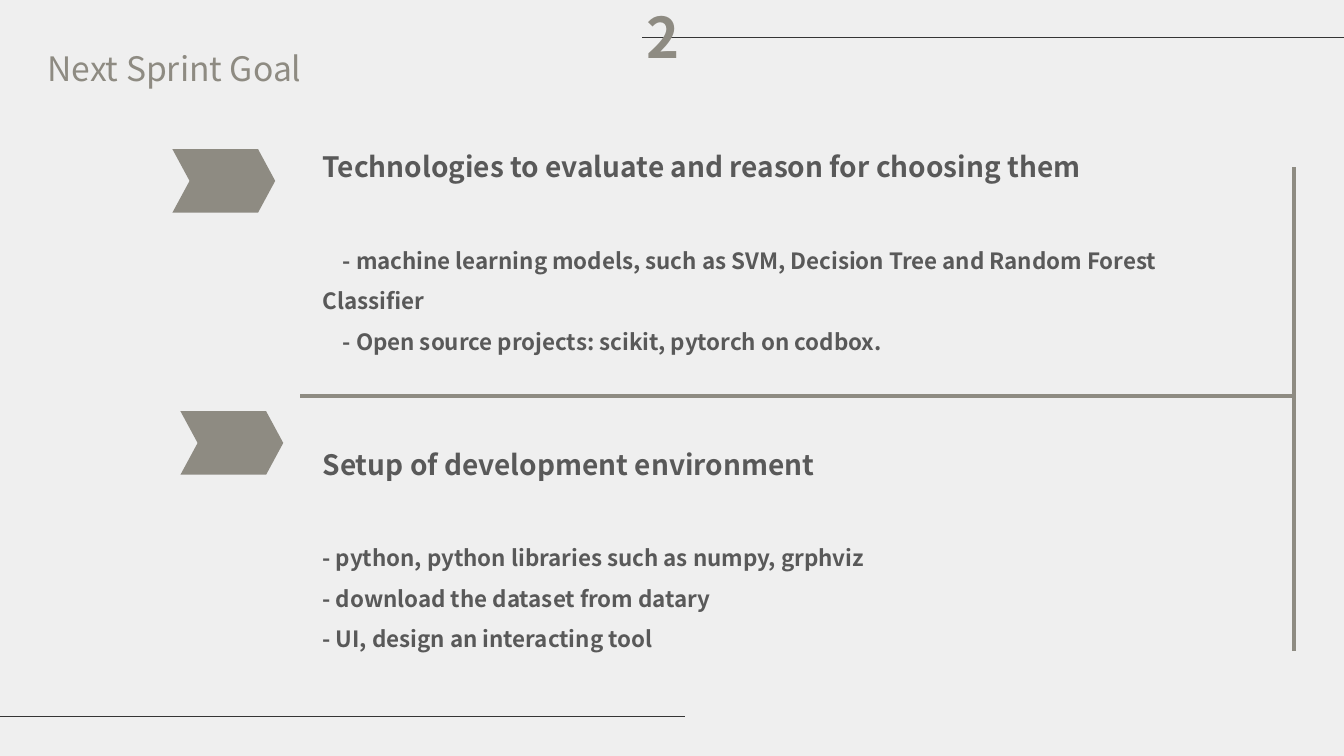
import pptx
import pptx.util
import pptx.dml.color
import pptx.enum.shapes
import pptx.enum.text
import pptx.oxml.ns
import lxml.etree

WIDE, HIGH = 13.33, 7.5
FONT = "Noto Sans CJK SC"
HUES = {"back": "EFEFEF", "rule": "343434", "olive": "8E8B82", "body": "595959"}


def hue(name):
    return pptx.dml.color.RGBColor.from_string(HUES[name])


def across(share):
    """Percent of the slide's width as a length."""
    return pptx.util.Inches(WIDE * share / 100)


def down(share):
    """Percent of the slide's height as a length."""
    return pptx.util.Inches(HIGH * share / 100)


def area(left, top, width, height):
    return across(left), down(top), across(width), down(height)


def add_run(para, text, size, tone, bold=False):
    run = para.add_run()
    run.text = text
    run.font.name = FONT
    run.font.size = pptx.util.Pt(size)
    run.font.bold = bold
    run.font.color.rgb = hue(tone)


def add_rule(slide, start, end, tone, weight):
    rule = slide.shapes.add_connector(
        pptx.enum.shapes.MSO_CONNECTOR.STRAIGHT,
        across(start[0]), down(start[1]), across(end[0]), down(end[1]))
    rule.line.color.rgb = hue(tone)
    rule.line.width = pptx.util.Pt(weight)
    props = rule.element.spPr
    lxml.etree.SubElement(props, pptx.oxml.ns.qn("a:effectLst"))


def add_title(slide, text):
    title = slide.shapes.title
    title.left, title.top, title.width, title.height = area(2.78, 5.73, 31.13, 6.67)
    frame = title.text_frame
    frame.auto_size = pptx.enum.text.MSO_AUTO_SIZE.NONE
    frame.vertical_anchor = pptx.enum.text.MSO_ANCHOR.TOP
    para = frame.paragraphs[0]
    para.alignment = pptx.enum.text.PP_ALIGN.LEFT
    add_run(para, text, 24, "olive")


def add_box(slide, place):
    frame = slide.shapes.add_textbox(*area(*place)).text_frame
    frame.word_wrap = True
    return frame


def add_topic(slide, place, head, items, indent):
    """Heading with dashed items; indent moves each item's first line."""
    frame = add_box(slide, place)
    frame.margin_left = frame.margin_right = pptx.util.Inches(0.04)
    para = frame.paragraphs[0]
    para.line_spacing = 1.5
    add_run(para, head, 20, "body", True)
    for index, item in enumerate(items):
        para = frame.add_paragraph()
        para.line_spacing = 1.5
        para.space_before = pptx.util.Pt(0 if index else 36)
        props = para._p.get_or_add_pPr()
        props.set("marL", "0")
        props.set("indent", str(pptx.util.Inches(indent)))
        add_run(para, item, 16, "body", True)


def add_arrow(slide, left, top):
    arrow = slide.shapes.add_shape(
        pptx.enum.shapes.MSO_SHAPE.CHEVRON, *area(left, top, 7.65, 8.4))
    arrow.adjustments[0] = 0.27
    arrow.shadow.inherit = False
    arrow.fill.solid()
    arrow.fill.fore_color.rgb = hue("olive")
    arrow.line.fill.background()


def main():
    deck = pptx.Presentation()
    deck.slide_width = pptx.util.Inches(WIDE)
    deck.slide_height = pptx.util.Inches(HIGH)
    slide = deck.slides.add_slide(deck.slide_layouts[5])
    slide.background.fill.solid()
    slide.background.fill.fore_color.rgb = hue("back")

    add_rule(slide, (0, 94.8), (51, 94.8), "rule", 0.5)
    add_rule(slide, (47.78, 4.93), (100, 4.93), "rule", 0.5)
    add_title(slide, "Next Sprint Goal")
    number = add_box(slide, (47.4, -0.27, 3.6, 10.27))
    add_run(number.paragraphs[0], "2", 40, "olive", True)

    add_topic(slide, (23.7, 16.93, 66.23, 30.93),
              "Technologies to evaluate and reason for choosing them",
              ["- machine learning models, such as SVM, Decision Tree and "
               "Random Forest Classifier",
               "- Open source projects: scikit, pytorch on codbox."], 0.2)
    add_arrow(slide, 12.83, 19.73)
    add_topic(slide, (23.7, 56.27, 69.98, 30.93),
              "Setup of development environment",
              ["- python, python libraries such as numpy, grphviz",
               "- download the dataset from datary",
               "- UI, design an interacting tool"], 0)
    add_arrow(slide, 13.43, 54.4)

    joint = (96.3, 52.4)
    for end in [(96.3, 86.13), (22.35, 52.4), (96.3, 22.13)]:
        add_rule(slide, joint, end, "olive", 3)
    deck.save("out.pptx")


if __name__ == "__main__":
    main()
